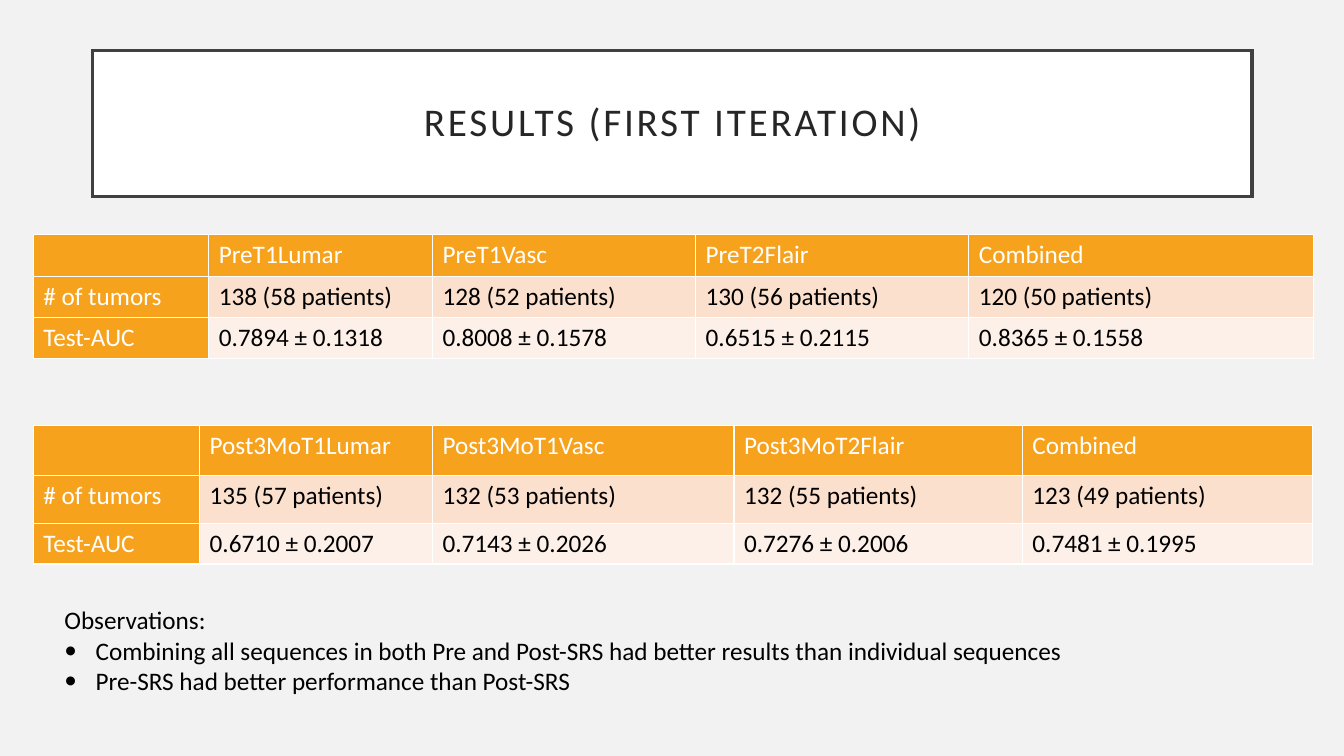
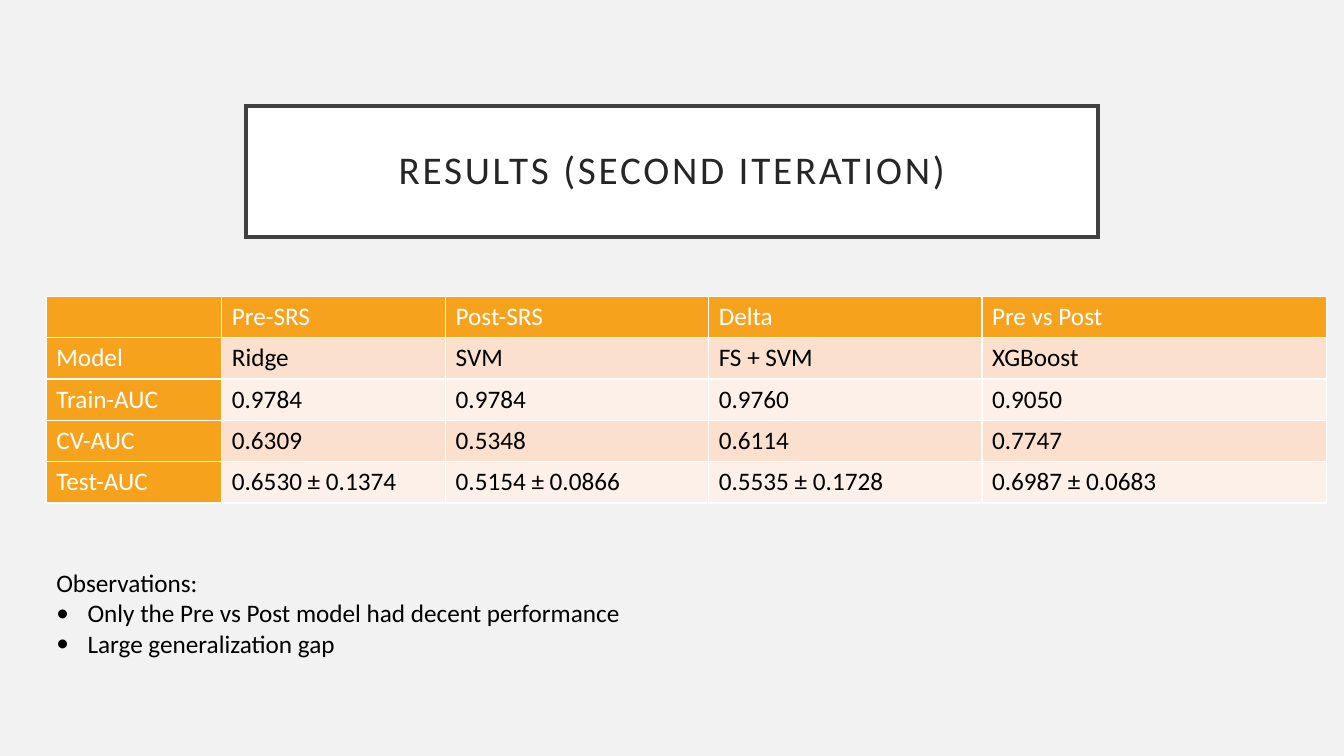
from dataclasses import dataclass

from lxml import etree
from pptx import Presentation
from pptx import util as u
from pptx.dml.color import RGBColor
from pptx.enum import shapes, text
from pptx.oxml import ns

FONT = "Calibri"
BACKDROP = RGBColor(0xF2, 0xF2, 0xF2)
WHITE = RGBColor(0xFF, 0xFF, 0xFF)
BLACK = RGBColor(0x00, 0x00, 0x00)
FRAME = RGBColor(0x40, 0x40, 0x40)
TITLE_INK = RGBColor(0x26, 0x26, 0x26)
ORANGE = RGBColor(0xF6, 0xA2, 0x1D)
BANDS = (RGBColor(0xFD, 0xF0, 0xE8), RGBColor(0xFB, 0xE0, 0xCD))

BODY_SIZE = 18
TITLE_SIZE = 28
TITLE_INSET = 0.2
LETTER_SPACING = 2
BULLET_INDENT = 0.31
GRID_LINE = 1
ROW_HEIGHT = 0.41
RESULT_COLUMNS = (1.74, 2.22, 2.61, 2.71, 3.42)


@dataclass(frozen=True)
class Box:
    left: float
    top: float
    width: float
    height: float

    def lengths(self) -> tuple:
        return tuple(map(u.Inches, (self.left, self.top, self.width, self.height)))


@dataclass(frozen=True)
class ResultTable:
    left: float
    top: float
    columns: tuple[float, ...]
    row_heights: tuple[float, ...]
    rows: tuple[tuple[str, ...], ...]


@dataclass(frozen=True)
class ResultSlide:
    title: str
    title_box: Box
    tables: tuple[ResultTable, ...]
    observations_box: Box
    observations: tuple[str, ...]


RESULTS = (
    ResultSlide(
        "RESULTS (FIRST ITERATION)",
        Box(0.92, 0.5, 11.5, 1.45),
        (
            ResultTable(0.33, 2.33, RESULT_COLUMNS, (ROW_HEIGHT,) * 3, (
                ("", "PreT1Lumar", "PreT1Vasc", "PreT2Flair", "Combined"),
                ("# of tumors", "138 (58 patients)", "128 (52 patients)",
                 "130 (56 patients)", "120 (50 patients)"),
                ("Test-AUC", "0.7894 ± 0.1318", "0.8008 ± 0.1578",
                 "0.6515 ± 0.2115", "0.8365 ± 0.1558"),
            )),
            ResultTable(0.33, 4.22, (1.65, 2.31, 2.99, 2.86, 2.88), (0.5, 0.47, 0.4), (
                ("", "Post3MoT1Lumar", "Post3MoT1Vasc", "Post3MoT2Flair", "Combined"),
                ("# of tumors", "135 (57 patients)", "132 (53 patients)",
                 "132 (55 patients)", "123 (49 patients)"),
                ("Test-AUC", "0.6710 ± 0.2007", "0.7143 ± 0.2026",
                 "0.7276 ± 0.2006", "0.7481 ± 0.1995"),
            )),
        ),
        Box(0.54, 5.95, 11.48, 1.01),
        (
            "Combining all sequences in both Pre and Post-SRS had better results"
            " than individual sequences",
            "Pre-SRS had better performance than Post-SRS",
        ),
    ),
    ResultSlide(
        "RESULTS (SECOND ITERATION)",
        Box(2.44, 1.05, 8.45, 1.3),
        (
            ResultTable(0.46, 2.94, RESULT_COLUMNS, (ROW_HEIGHT,) * 5, (
                ("", "Pre-SRS", "Post-SRS", "Delta", "Pre vs Post"),
                ("Model", "Ridge", "SVM", "FS + SVM", "XGBoost"),
                ("Train-AUC", "0.9784", "0.9784", "0.9760", "0.9050"),
                ("CV-AUC", "0.6309", "0.5348", "0.6114", "0.7747"),
                ("Test-AUC", "0.6530 ± 0.1374", "0.5154 ± 0.0866",
                 "0.5535 ± 0.1728", "0.6987 ± 0.0683"),
            )),
        ),
        Box(0.46, 5.58, 11.48, 1.01),
        (
            "Only the Pre vs Post model had decent performance",
            "Large generalization gap",
        ),
    ),
)


def add_run(paragraph, wording: str, color: RGBColor, size: float = BODY_SIZE):
    run = paragraph.add_run()
    run.text = wording
    run.font.name = FONT
    run.font.size = u.Pt(size)
    run.font.color.rgb = color
    return run


def add_title(slide, wording: str, box: Box) -> None:
    banner = slide.shapes.add_shape(shapes.MSO_SHAPE.RECTANGLE, *box.lengths())
    banner.shadow.inherit = False
    banner.fill.solid()
    banner.fill.fore_color.rgb = WHITE
    banner.line.color.rgb = FRAME
    banner.line.width = u.Pt(2.5)
    outline = banner.line._get_or_add_ln()
    etree.SubElement(outline, ns.qn("a:miter"), lim="800000")
    frame = banner.text_frame
    frame.word_wrap = True
    frame.vertical_anchor = text.MSO_ANCHOR.MIDDLE
    frame.margin_left = frame.margin_right = u.Inches(TITLE_INSET)
    frame.margin_top = frame.margin_bottom = u.Inches(TITLE_INSET)
    heading = frame.paragraphs[0]
    heading.alignment = text.PP_ALIGN.CENTER
    heading.line_spacing = 0.9
    run = add_run(heading, wording, TITLE_INK, TITLE_SIZE)
    run.font._element.set("spc", str(LETTER_SPACING * 100))


def add_borders(cell) -> None:
    properties = cell._tc.get_or_add_tcPr()
    for tag in ("a:lnL", "a:lnR", "a:lnT", "a:lnB"):
        edge = etree.SubElement(properties, ns.qn(tag), w=str(u.Pt(GRID_LINE)))
        fill = etree.SubElement(edge, ns.qn("a:solidFill"))
        etree.SubElement(fill, ns.qn("a:srgbClr"), val=str(WHITE))


def add_result_table(slide, result: ResultTable) -> None:
    box = Box(result.left, result.top, sum(result.columns), sum(result.row_heights))
    grid = slide.shapes.add_table(
        len(result.rows), len(result.columns), *box.lengths()).table
    for column, width in zip(grid.columns, result.columns):
        column.width = u.Inches(width)
    for row, height in zip(grid.rows, result.row_heights):
        row.height = u.Inches(height)
    for r, entries in enumerate(result.rows):
        for c, entry in enumerate(entries):
            cell = grid.cell(r, c)
            is_heading = r == 0 or c == 0
            add_borders(cell)
            cell.fill.solid()
            cell.fill.fore_color.rgb = ORANGE if is_heading else BANDS[r % 2]
            if entry:
                add_run(cell.text_frame.paragraphs[0], entry,
                        WHITE if is_heading else BLACK)


def add_observations(slide, box: Box, observations: tuple[str, ...]) -> None:
    frame = slide.shapes.add_textbox(*box.lengths()).text_frame
    frame.word_wrap = True
    frame.auto_size = text.MSO_AUTO_SIZE.SHAPE_TO_FIT_TEXT
    add_run(frame.paragraphs[0], "Observations:", BLACK)
    for observation in observations:
        paragraph = frame.add_paragraph()
        properties = paragraph._p.get_or_add_pPr()
        indent = u.Inches(BULLET_INDENT)
        properties.set("marL", str(indent))
        properties.set("indent", str(-indent))
        etree.SubElement(properties, ns.qn("a:buFont"), typeface=FONT)
        etree.SubElement(properties, ns.qn("a:buChar"), char="•")
        add_run(paragraph, observation, BLACK)


def main() -> None:
    deck = Presentation()
    deck.slide_width = u.Inches(13.33)
    deck.slide_height = u.Inches(7.5)
    for result in RESULTS:
        slide = deck.slides.add_slide(deck.slide_layouts[6])
        slide.background.fill.solid()
        slide.background.fill.fore_color.rgb = BACKDROP
        add_title(slide, result.title, result.title_box)
        for table in result.tables:
            add_result_table(slide, table)
        add_observations(slide, result.observations_box, result.observations)
    deck.save("out.pptx")


if __name__ == "__main__":
    main()
